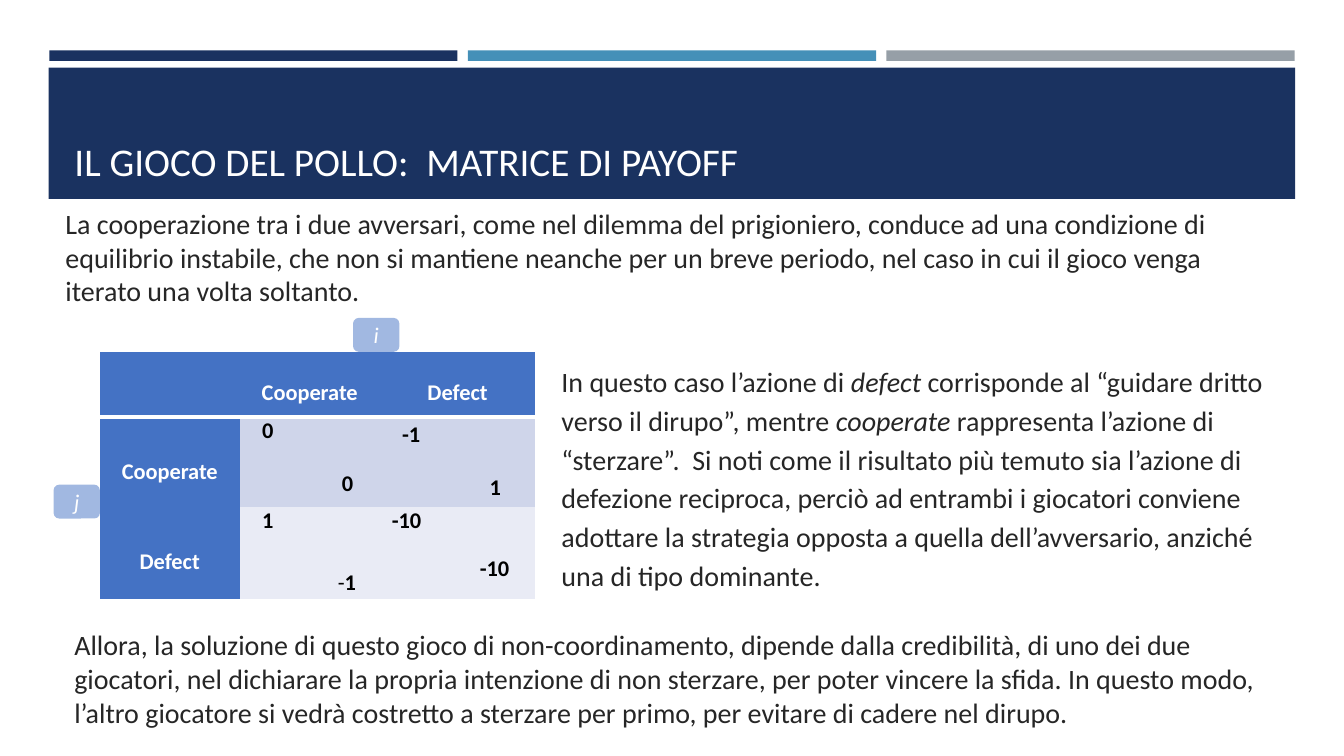
from dataclasses import dataclass

from lxml.etree import SubElement
from pptx import Presentation
from pptx.dml.color import RGBColor
from pptx.enum.shapes import MSO_SHAPE
from pptx.enum.text import MSO_ANCHOR, MSO_AUTO_SIZE, PP_ALIGN
from pptx.oxml.ns import qn
from pptx.util import Pt

NAVY = RGBColor(0x1A, 0x32, 0x60)
SKY = RGBColor(0x45, 0x90, 0xB8)
GRAY = RGBColor(0x96, 0x9F, 0xA7)
BLUE = RGBColor(0x44, 0x72, 0xC4)
PALE_BLUE = RGBColor(0xCF, 0xD5, 0xEA)
PALER_BLUE = RGBColor(0xE9, 0xEB, 0xF5)
INK = RGBColor(0x26, 0x26, 0x26)
BLACK = RGBColor(0, 0, 0)
WHITE = RGBColor(0xFF, 0xFF, 0xFF)
FONT = "Calibri"
NO_STYLE = "{2D5ABB26-0587-4C30-8999-92F81FD0307C}"


@dataclass(frozen=True)
class Area:
    left: float
    top: float
    width: float
    height: float

    def lengths(self):
        return Pt(self.left), Pt(self.top), Pt(self.width), Pt(self.height)


@dataclass(frozen=True)
class Span:
    text: str
    bold: bool = False
    italic: bool = False


@dataclass(frozen=True)
class Line:
    spans: tuple[Span, ...]
    spacing: float = 1.0
    indent: float = 0
    align: PP_ALIGN = PP_ALIGN.LEFT
    after: float = 0
    before: float = 0


@dataclass(frozen=True)
class Cell:
    fill: RGBColor
    ink: RGBColor
    lines: tuple[Line, ...] = ()


@dataclass(frozen=True)
class Tag:
    text: str
    left: float
    top: float


def write_lines(frame, lines: tuple[Line, ...], size: float, color: RGBColor) -> None:
    for index, line in enumerate(lines):
        para = frame.paragraphs[0] if index == 0 else frame.add_paragraph()
        if line.indent:
            properties = para._p.get_or_add_pPr()
            properties.set("marL", str(Pt(line.indent)))
            properties.set("indent", "0")
        para.alignment = line.align
        para.line_spacing = line.spacing
        para.space_before = Pt(line.before)
        para.space_after = Pt(line.after)
        for span in line.spans:
            run = para.add_run()
            run.text = span.text
            run.font.name = FONT
            run.font.size = Pt(size)
            run.font.color.rgb = color
            run.font.bold = span.bold
            run.font.italic = span.italic


def add_block(slide, area: Area, color: RGBColor, preset=MSO_SHAPE.RECTANGLE):
    shape = slide.shapes.add_shape(preset, *area.lengths())
    shape.shadow.inherit = False
    shape.fill.solid()
    shape.fill.fore_color.rgb = color
    shape.line.fill.background()
    return shape


def add_text(slide, area: Area, line: Line, anchor=MSO_ANCHOR.TOP) -> None:
    frame = slide.shapes.add_textbox(*area.lengths()).text_frame
    frame.word_wrap = True
    frame.vertical_anchor = anchor
    write_lines(frame, (line,), 20, INK)


def add_tag(slide, tag: Tag) -> None:
    """Half-transparent rounded label that names a player."""
    shape = add_block(slide, Area(tag.left, tag.top, 33.1, 24.2), BLUE, MSO_SHAPE.ROUNDED_RECTANGLE)
    color = shape._element.spPr.find(qn("a:solidFill"))[0]
    SubElement(color, qn("a:alpha"), val="50000")
    frame = shape.text_frame
    frame.margin_left = frame.margin_right = frame.margin_top = frame.margin_bottom = 0
    frame.vertical_anchor = MSO_ANCHOR.MIDDLE
    write_lines(frame, (Line((Span(tag.text, italic=True),), align=PP_ALIGN.CENTER),), 16, WHITE)


def add_border(cell, side: str, width: float) -> None:
    border = SubElement(cell._tc.get_or_add_tcPr(), qn(f"a:{side}"), w=str(Pt(width)))
    fill = SubElement(border, qn("a:solidFill"))
    SubElement(fill, qn("a:srgbClr"), val=str(WHITE))


def add_matrix(slide, area: Area, widths: list[float], heights: list[float],
               rows: list[list[Cell]]) -> None:
    table = slide.shapes.add_table(len(rows), len(widths), *area.lengths()).table
    table._tbl.tblPr.find(qn("a:tableStyleId")).text = NO_STYLE
    for column, width in zip(table.columns, widths):
        column.width = Pt(width)
    for row, height in zip(table.rows, heights):
        row.height = Pt(height)
    last_row, last_column = len(rows) - 1, len(widths) - 1
    for r, row in enumerate(rows):
        for c, content in enumerate(row):
            cell = table.cell(r, c)
            cell.margin_left = cell.margin_right = Pt(5)
            cell.margin_top = cell.margin_bottom = 0
            if c == 0:
                add_border(cell, "lnL", 1)
            if c == last_column:
                add_border(cell, "lnR", 1)
            if r == 0:
                add_border(cell, "lnT", 1)
                add_border(cell, "lnB", 3)
            if r == last_row:
                add_border(cell, "lnB", 1)
            cell.fill.solid()
            cell.fill.fore_color.rgb = content.fill
            write_lines(cell.text_frame, content.lines, 16, content.ink)


def heading(text: str, spacing: float) -> Cell:
    line = Line((Span(text, bold=True),), spacing, align=PP_ALIGN.CENTER, after=10)
    return Cell(BLUE, WHITE, (line,))


def payoff(fill: RGBColor, first: Line, second: Line) -> Cell:
    return Cell(fill, BLACK, (first, second))


def score(text: str, indent: float, spacing: float = 1.0, before: float = 0) -> Line:
    return Line((Span(text, bold=True),), spacing, indent, after=10, before=before)


def main() -> None:
    deck = Presentation()
    deck.slide_width, deck.slide_height = Pt(960), Pt(540)
    slide = deck.slides.add_slide(deck.slide_layouts[5])

    for index, color in enumerate((NAVY, SKY, GRAY)):
        add_block(slide, Area(35.2 + 299 * index, 36, 291.6, 7.5), color)
    add_block(slide, Area(34.8, 48.4, 890.4, 93.7), NAVY)

    title = slide.shapes.title
    slide.shapes._spTree.append(title._element)
    title.left, title.top, title.width, title.height = Area(46, 55.4, 868.3, 79.9).lengths()
    frame = title.text_frame
    frame.auto_size = MSO_AUTO_SIZE.NONE
    frame.word_wrap = True
    frame.vertical_anchor = MSO_ANCHOR.BOTTOM
    write_lines(frame, (Line((Span("IL GIOCO DEL POLLO:  MATRICE DI PAYOFF"),)),), 28, WHITE)

    add_text(slide, Area(39.6, 144, 879.8, 79.9), Line((Span(
        "La cooperazione tra i due avversari, come nel dilemma del prigioniero, conduce ad una "
        "condizione di equilibrio instabile, che non si mantiene neanche per un breve periodo, "
        "nel caso in cui il gioco venga iterato una volta soltanto."),)))
    add_text(slide, Area(394, 251.3, 537.8, 177.1), Line((
        Span("In questo caso l’azione di "), Span("defect", italic=True),
        Span(" corrisponde al “guidare dritto verso il dirupo”, mentre "),
        Span("cooperate", italic=True),
        Span(" rappresenta l’azione di “sterzare”.  Si noti come il risultato più temuto sia "
             "l’azione di defezione reciproca, perciò ad entrambi i giocatori conviene adottare "
             "la strategia opposta a quella dell’avversario, anziché una di tipo dominante."),
    ), spacing=1.15, after=10), MSO_ANCHOR.MIDDLE)
    add_text(slide, Area(46, 445, 868.3, 79.9), Line((Span(
        "Allora, la soluzione di questo gioco di non-coordinamento, dipende dalla credibilità, "
        "di uno dei due giocatori, nel dichiarare la propria intenzione di non sterzare, per "
        "poter vincere la sfida. In questo modo, l’altro giocatore si vedrà costretto a sterzare "
        "per primo, per evitare di cadere nel dirupo."),)))

    minus_one = Line((Span("-"), Span("1", bold=True)), 1.5, 65, after=10, before=5)
    add_matrix(slide, Area(71.3, 251.3, 311.2, 177.1), [100, 100, 111.2], [46.8, 64.1, 66.2], [
        [Cell(BLUE, WHITE), heading("Cooperate", 2), heading("Defect", 2)],
        [heading("Cooperate", 2.5),
         payoff(PALE_BLUE, score("0", 11), score("0", 68, 1.15, 5)),
         payoff(PALE_BLUE, score("-1", 11, 1.15), score("1", 73.5, 1.15, 5))],
        [heading("Defect", 2.5),
         payoff(PALER_BLUE, score("1", 11), minus_one),
         payoff(PALER_BLUE, score("-10", 3.6), score("-10", 66.5, before=5))],
    ])
    for tag in (Tag("i", 252.2, 227.1), Tag("j", 38.3, 346.2)):
        add_tag(slide, tag)

    deck.save("out.pptx")


if __name__ == "__main__":
    main()
